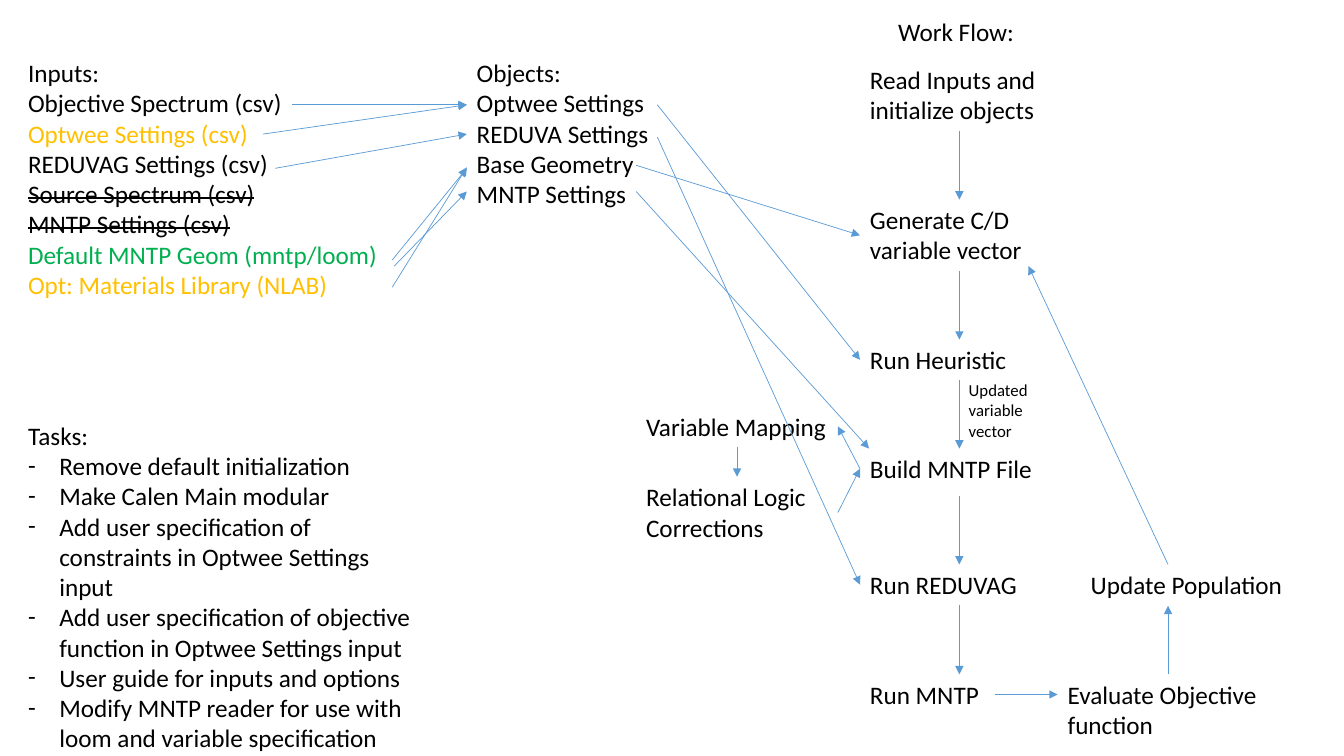
from dataclasses import dataclass
from typing import NamedTuple, Optional

from lxml import etree
from pptx import Presentation
from pptx.dml.color import RGBColor
from pptx.enum.shapes import MSO_CONNECTOR
from pptx.enum.text import MSO_AUTO_SIZE
from pptx.oxml.ns import qn
from pptx.util import Inches, Pt

STRAIGHT = MSO_CONNECTOR.STRAIGHT
GROW = MSO_AUTO_SIZE.SHAPE_TO_FIT_TEXT
TOP, LEFT, BOTTOM, RIGHT = range(4)

BLACK = RGBColor(0x00, 0x00, 0x00)
AMBER = RGBColor(0xFF, 0xC0, 0x00)
GREEN = RGBColor(0x00, 0xB0, 0x50)
BLUE = RGBColor(0x5B, 0x9B, 0xD5)

FONT = "Calibri"
INDENT = 0.31
ONE_LINE, TWO_LINES = 0.4, 0.71
FLOW_X, FLOW_W = 8.53, 1.97
FLOW_MID = FLOW_X + FLOW_W / 2
MAP_X, MAP_W = 6.31, 2.0
OBJECTS_X = 4.63
EVAL_X, EVAL_W = 10.49, 2.19
LOOP_X = EVAL_X + EVAL_W / 2


@dataclass(frozen=True)
class Line:
    text: str
    color: RGBColor = BLACK
    strike: bool = False
    bullet: bool = False


@dataclass(frozen=True)
class Box:
    name: str
    x: float
    y: float
    w: float
    h: float
    lines: list[Line]
    size: int = 18


class End(NamedTuple):
    x: float = 0
    y: float = 0
    box: Optional[str] = None
    site: int = TOP


@dataclass(frozen=True)
class Arrow:
    start: End
    end: End


def at(x: float, y: float) -> End:
    return End(x, y)


def on(box: str, site: int) -> End:
    return End(box=box, site=site)


def flow(name: str, y: float, text: str, h: float = ONE_LINE) -> Box:
    return Box(name, FLOW_X, y, FLOW_W, h, [Line(text)])


INPUTS = [
    Line("Inputs:"),
    Line("Objective Spectrum (csv)"),
    Line("Optwee Settings (csv)", AMBER),
    Line("REDUVAG Settings (csv)"),
    Line("Source Spectrum (csv)", strike=True),
    Line("MNTP Settings (csv)", strike=True),
    Line("Default MNTP Geom (mntp/loom)", GREEN),
    Line("Opt: Materials Library (NLAB)", AMBER),
]
TASKS = [
    "Remove default initialization",
    "Make Calen Main modular",
    "Add user specification of constraints in Optwee Settings input",
    "Add user specification of objective function in Optwee Settings input",
    "User guide for inputs and options",
    "Modify MNTP reader for use with loom and variable specification",
]
OBJECTS = ["Objects:", "Optwee Settings", "REDUVA Settings",
           "Base Geometry", "MNTP Settings"]

BOXES = [
    Box("inputs", 0.18, 0.52, 3.96, 2.52, INPUTS),
    Box("tasks", 0.18, 4.12, 4.09, 3.74,
        [Line("Tasks:")] + [Line(t, bullet=True) for t in TASKS]),
    Box("objects", OBJECTS_X, 0.52, 3.68, 1.62, [Line(t) for t in OBJECTS]),
    Box("title", 8.81, 0.11, 3.28, ONE_LINE, [Line("Work Flow:")]),
    flow("read", 0.59, "Read Inputs and initialize objects", TWO_LINES),
    flow("generate", 1.98, "Generate C/D variable vector", TWO_LINES),
    flow("heuristic", 3.37, "Run Heuristic"),
    flow("build", 4.45, "Build MNTP File"),
    flow("reduction", 5.6, "Run REDUVAG"),
    flow("transport", 6.69, "Run MNTP"),
    Box("updated", 9.51, 3.72, 1.1, TWO_LINES,
        [Line("Updated variable vector")], 12),
    Box("mapping", MAP_X, 4.03, MAP_W, ONE_LINE, [Line("Variable Mapping")]),
    Box("logic", MAP_X, 4.73, MAP_W, TWO_LINES,
        [Line("Relational Logic Corrections")]),
    Box("evaluate", EVAL_X, 6.69, EVAL_W, TWO_LINES,
        [Line("Evaluate Objective function")]),
    Box("update", 10.72, 5.6, 2.26, ONE_LINE, [Line("Update Population")]),
]

ARROWS = [
    Arrow(at(2.9, 1.04), at(OBJECTS_X, 1.04)),
    Arrow(at(2.61, 1.33), at(OBJECTS_X, 1.04)),
    Arrow(at(2.73, 1.67), on("objects", LEFT)),
    Arrow(at(3.89, 2.58), at(OBJECTS_X, 1.67)),
    Arrow(at(3.91, 2.64), at(OBJECTS_X, 1.9)),
    Arrow(at(3.89, 2.85), at(OBJECTS_X, 1.66)),
    Arrow(at(6.31, 1.64), on("generate", LEFT)),
    Arrow(at(6.52, 1.04), on("heuristic", LEFT)),
    Arrow(at(6.52, 1.36), on("reduction", LEFT)),
    Arrow(at(6.31, 1.9), at(8.62, 4.45)),
    Arrow(on("read", BOTTOM), on("generate", TOP)),
    Arrow(on("generate", BOTTOM), on("heuristic", TOP)),
    Arrow(on("heuristic", BOTTOM), on("build", TOP)),
    Arrow(at(FLOW_MID, 4.92), on("reduction", TOP)),
    Arrow(on("reduction", BOTTOM), on("transport", TOP)),
    Arrow(on("mapping", BOTTOM), on("logic", TOP)),
    Arrow(on("logic", RIGHT), on("build", LEFT)),
    Arrow(on("build", LEFT), on("mapping", RIGHT)),
    Arrow(at(9.87, 6.89), at(EVAL_X, 6.89)),
    Arrow(on("evaluate", TOP), at(LOOP_X, 6.01)),
    Arrow(at(LOOP_X, 5.6), at(10.2, 2.64)),
]


def add_run(p, text: str, *, size: int, color: RGBColor, strike: bool) -> None:
    r = p.add_run()
    r.text = text
    r.font.name = FONT
    r.font.size = Pt(size)
    r.font.color.rgb = color
    if strike:
        r.font._element.set("strike", "sngStrike")


def add_bullet(p) -> None:
    pPr = p._p.get_or_add_pPr()
    pPr.set("marL", str(Inches(INDENT)))
    pPr.set("indent", str(-Inches(INDENT)))
    etree.SubElement(pPr, qn("a:buFont")).set("typeface", FONT)
    etree.SubElement(pPr, qn("a:buChar")).set("char", "-")


def draw_box(s, box: Box):
    sp = s.shapes.add_textbox(Inches(box.x), Inches(box.y),
                              Inches(box.w), Inches(box.h))
    tf = sp.text_frame
    tf.word_wrap = True
    tf.auto_size = GROW
    for i, line in enumerate(box.lines):
        p = tf.add_paragraph() if i else tf.paragraphs[0]
        if line.bullet:
            add_bullet(p)
        add_run(p, line.text, size=box.size, color=line.color, strike=line.strike)
    return sp


def draw_arrow(s, arrow: Arrow, shapes: dict) -> None:
    a, b = arrow.start, arrow.end
    cxn = s.shapes.add_connector(STRAIGHT, Inches(a.x), Inches(a.y),
                                 Inches(b.x), Inches(b.y))
    if a.box:
        cxn.begin_connect(shapes[a.box], a.site)
    if b.box:
        cxn.end_connect(shapes[b.box], b.site)
    cxn.line.color.rgb = BLUE
    cxn.line.width = Pt(0.5)
    etree.SubElement(cxn.line._ln, qn("a:tailEnd")).set("type", "triangle")
    etree.SubElement(cxn._element.spPr, qn("a:effectLst"))


def main() -> None:
    prs = Presentation()
    prs.slide_width, prs.slide_height = Inches(13.33), Inches(7.5)
    s = prs.slides.add_slide(prs.slide_layouts[6])
    shapes = {box.name: draw_box(s, box) for box in BOXES}
    for arrow in ARROWS:
        draw_arrow(s, arrow, shapes)
    prs.save("out.pptx")


if __name__ == "__main__":
    main()
